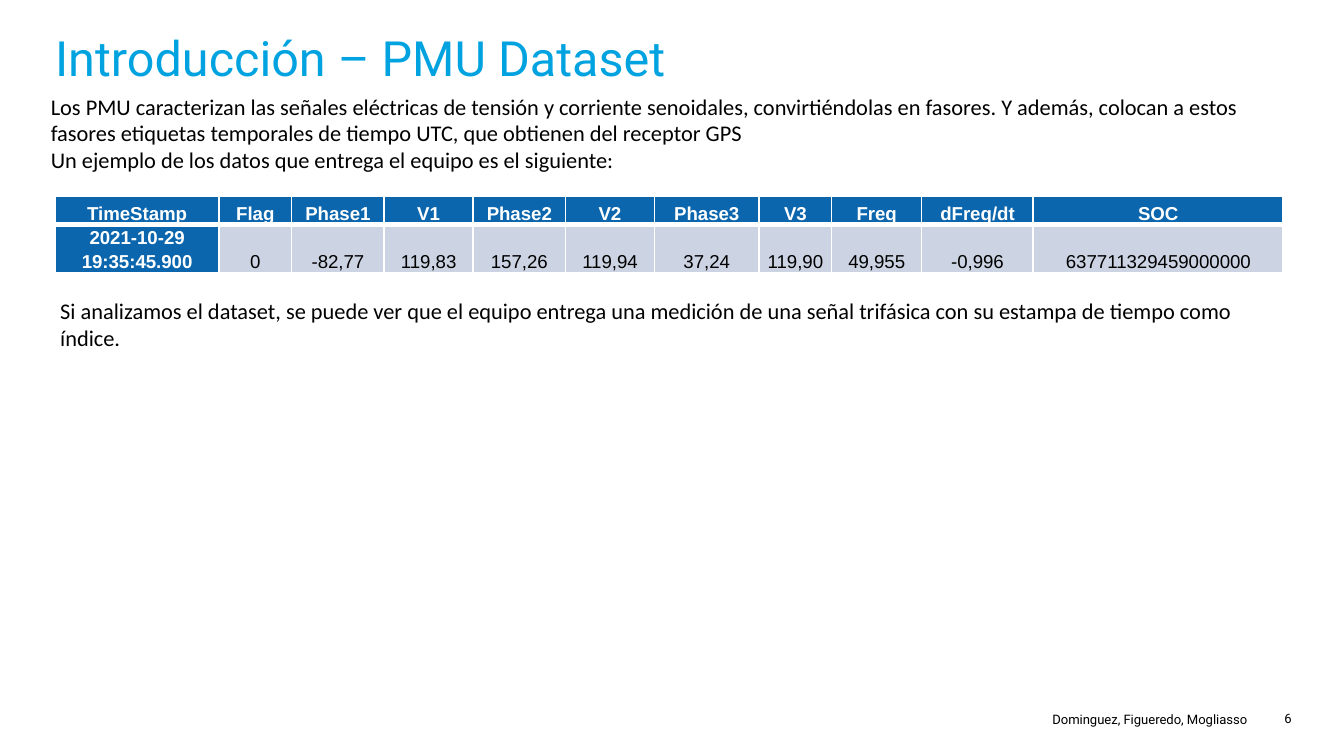
from dataclasses import dataclass

from lxml.etree import SubElement
from pptx import Presentation
from pptx.dml.color import RGBColor
from pptx.enum.text import MSO_ANCHOR as Anchor, MSO_AUTO_SIZE as AutoSize, PP_ALIGN as Align
from pptx.oxml.ns import qn
from pptx.util import Inches, Pt

BLACK = RGBColor(0x00, 0x00, 0x00)
WHITE = RGBColor(0xFF, 0xFF, 0xFF)
CYAN = RGBColor(0x00, 0xA3, 0xE0)
BLUE = RGBColor(0x0B, 0x66, 0xAE)
PALE = RGBColor(0xCC, 0xD3, 0xE3)


@dataclass
class Style:
    font: str
    size: float
    color: RGBColor = BLACK
    bold: bool = False
    align: Align = Align.LEFT


@dataclass
class TextBlock:
    left: float
    top: float
    width: float
    height: float
    lines: list[str]
    style: Style
    body: bool = True  # body blocks keep default margins and grow with the text


@dataclass
class Column:
    width: float
    heading: str
    value: str


TITLE = Style("Roboto", 26, CYAN)
BODY = Style("Calibri", 12)
FOOTER = Style("Roboto", 7, align=Align.RIGHT)
HEADING = Style("Arial", 10, WHITE, True, Align.CENTER)
VALUE = Style("Arial", 10, align=Align.CENTER)

BLOCKS = [
    TextBlock(9.29, 5.29, 0.32, 0.14, ["6"], FOOTER, body=False),
    TextBlock(6.11, 5.29, 3.17, 0.15, ["Dominguez, Figueredo, Mogliasso"], FOOTER, body=False),
    TextBlock(0.28, 0.64, 9.1, 0.71, [
        "Los PMU caracterizan las señales eléctricas de tensión y corriente senoidales, "
        "convirtiéndolas en fasores. Y además, colocan a estos fasores etiquetas temporales "
        "de tiempo UTC, que obtienen del receptor GPS",
        "Un ejemplo de los datos que entrega el equipo es el siguiente:",
    ], BODY),
    TextBlock(0.35, 2.16, 9.1, 0.5, [
        "Si analizamos el dataset, se puede ver que el equipo entrega una medición de una "
        "señal trifásica con su estampa de tiempo como índice.",
    ], BODY),
]

COLUMNS = [
    Column(1.22, "TimeStamp", "2021-10-29 19:35:45.900"),
    Column(0.54, "Flag", "0"),
    Column(0.69, "Phase1", "-82,77"),
    Column(0.66, "V1", "119,83"),
    Column(0.69, "Phase2", "157,26"),
    Column(0.66, "V2", "119,94"),
    Column(0.78, "Phase3", "37,24"),
    Column(0.54, "V3", "119,90"),
    Column(0.67, "Freq", "49,955"),
    Column(0.83, "dFreq/dt", "-0,996"),
    Column(1.86, "SOC", "637711329459000000"),
]
ROW_HEIGHT = 0.21


def write_lines(frame, lines: list[str], style: Style) -> None:
    for index, line in enumerate(lines):
        para = frame.add_paragraph() if index else frame.paragraphs[0]
        para.alignment = style.align
        span = para.add_run()
        span.text = line
        span.font.name = style.font
        span.font.size = Pt(style.size)
        span.font.bold = style.bold
        span.font.color.rgb = style.color


def clear_margins(frame) -> None:
    frame.margin_left = frame.margin_right = frame.margin_top = frame.margin_bottom = 0


def add_title(page, text: str) -> None:
    title = page.shapes.title
    title.left, title.top = Inches(0.41), Inches(0.21)
    title.width, title.height = Inches(9.22), Inches(0.62)
    frame = title.text_frame
    clear_margins(frame)
    frame.auto_size = AutoSize.NONE
    frame.vertical_anchor = Anchor.TOP
    write_lines(frame, [text], TITLE)


def add_block(page, block: TextBlock) -> None:
    box = page.shapes.add_textbox(Inches(block.left), Inches(block.top),
                                  Inches(block.width), Inches(block.height))
    frame = box.text_frame
    frame.word_wrap = True
    if block.body:
        frame.auto_size = AutoSize.SHAPE_TO_FIT_TEXT
    else:
        clear_margins(frame)
    write_lines(frame, block.lines, block.style)


def set_borders(cell, bottom: float) -> None:
    """White cell edges of 1 pt, with the bottom one as given."""
    properties = cell._tc.get_or_add_tcPr()
    for side, points in (("L", 1), ("R", 1), ("T", 1), ("B", bottom)):
        line = SubElement(properties, qn(f"a:ln{side}"), w=str(Pt(points)))
        fill = SubElement(line, qn("a:solidFill"))
        SubElement(fill, qn("a:srgbClr"), val=str(WHITE))


def fill_cell(cell, text: str, style: Style, color: RGBColor, bottom: float) -> None:
    set_borders(cell, bottom)
    cell.fill.solid()
    cell.fill.fore_color.rgb = color
    cell.margin_left = cell.margin_right = Inches(0.05)
    cell.margin_top = cell.margin_bottom = 0
    cell.vertical_anchor = Anchor.BOTTOM
    write_lines(cell.text_frame, [text], style)
    cell.text_frame.paragraphs[0].line_spacing = 1.15


def add_measurements(page, columns: list[Column]) -> None:
    width = sum(column.width for column in columns)
    table = page.shapes.add_table(2, len(columns), Inches(0.41), Inches(1.46),
                                  Inches(width), Inches(2 * ROW_HEIGHT)).table
    for index, column in enumerate(columns):
        table.columns[index].width = Inches(column.width)
        fill_cell(table.cell(0, index), column.heading, HEADING, BLUE, bottom=3)
        # The time stamp is the row's index, so it looks like a heading
        style, color = (VALUE, PALE) if index else (HEADING, BLUE)
        fill_cell(table.cell(1, index), column.value, style, color, bottom=1)


def main() -> None:
    # Widescreen page, 16:9
    deck = Presentation()
    deck.slide_width = Inches(10)
    deck.slide_height = deck.slide_width * 9 // 16
    page = deck.slides.add_slide(deck.slide_layouts[5])

    # Title, table, then body text and footer
    add_title(page, "Introducción – PMU Dataset")
    add_measurements(page, COLUMNS)
    for block in BLOCKS:
        add_block(page, block)

    deck.save("out.pptx")


if __name__ == "__main__":
    main()
